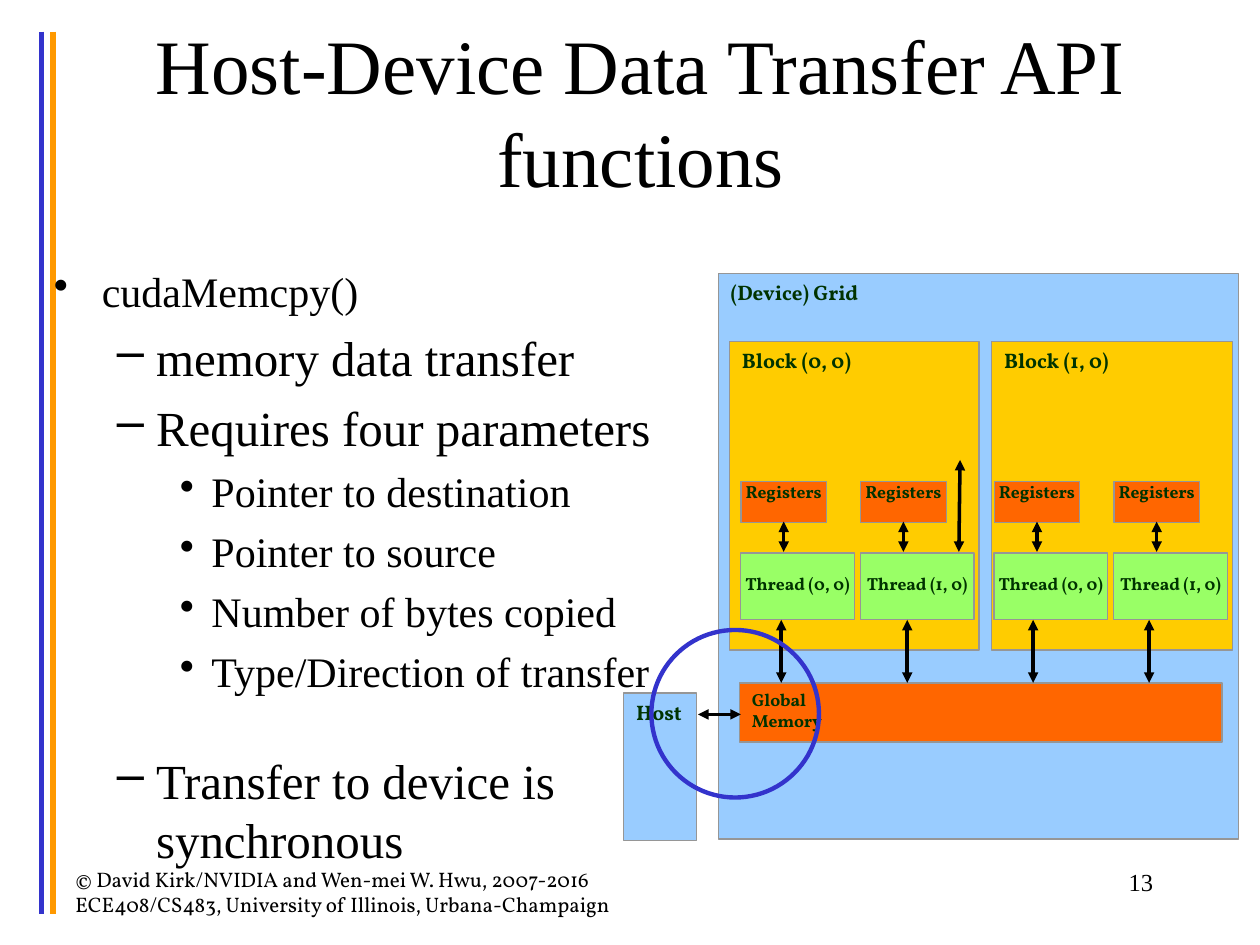
from lxml.etree import SubElement
from pptx import Presentation
from pptx.dml.color import RGBColor
from pptx.enum.shapes import MSO_CONNECTOR, MSO_SHAPE
from pptx.enum.text import MSO_ANCHOR, MSO_AUTO_SIZE, PP_ALIGN
from pptx.oxml.ns import qn
from pptx.util import Inches, Pt

SERIF, LABEL = "Times New Roman", "Vollkorn"
BLACK, GREEN_TEXT, GREY = "000000", "003300", "969696"
SKY, GOLD, ORANGE, LIME, BLUE = "99CCFF", "FFCC00", "FF6600", "99FF66", "3333CC"

TITLE = "Host-Device Data Transfer API functions"
FOOTER = ("© David Kirk/NVIDIA and Wen-mei W. Hwu, 2007-2016 "
          "ECE408/CS483, University of Illinois, Urbana-Champaign")
BULLETS = [
    (0, "cudaMemcpy()", 0),
    (1, "memory data transfer", 6.4),
    (1, "Requires four parameters", 6.4),
    (2, "Pointer to destination", 5.5),
    (2, "Pointer to source", 5.5),
    (2, "Number of bytes copied", 5.5),
    (2, "Type/Direction of transfer", 5.5),
    (1, "Transfer to device is synchronous", 31),
]
LEVELS = [("•", 0.38, 0.38, 24), ("–", 0.81, 0.31, 28), ("•", 1.25, 0.25, 24)]
RULES = [(0.33, BLUE), (0.42, "FF9900")]
BLOCKS = [
    ("Block (0, 0)", 5.79, 1.98, 5.88, (6.2, 7.2)),
    ("Block (1, 0)", 7.87, 1.91, 7.89, (8.2, 9.12)),
]
THREADS = ["Thread (0, 0)", "Thread (1, 0)"]
THREAD_STEP = 0.95


def rgb(color):
    return RGBColor.from_string(color)


def style(tf, font, size, color, bold=False, align=PP_ALIGN.LEFT):
    for p in tf.paragraphs:
        p.alignment = align
        for r in p.runs:
            r.font.name = font
            r.font.size = Pt(size)
            r.font.bold = bold
            r.font.color.rgb = rgb(color)


def add_box(s, box, fill, text, size, align=PP_ALIGN.LEFT, insets=None):
    sp = s.shapes.add_shape(MSO_SHAPE.RECTANGLE, *map(Inches, box))
    sp.shadow.inherit = False
    sp.fill.solid()
    sp.fill.fore_color.rgb = rgb(fill)
    sp.line.color.rgb = rgb(GREY)
    sp.line.width = Pt(0.75)
    tf = sp.text_frame
    tf.vertical_anchor = MSO_ANCHOR.TOP
    if insets:
        (tf.margin_left, tf.margin_top,
         tf.margin_right, tf.margin_bottom) = map(Inches, insets)
    tf.text = text
    style(tf, LABEL, size, GREEN_TEXT, True, align)


def add_line(s, x1, y1, x2, y2, color=BLACK, width=2, arrows=True):
    line = s.shapes.add_connector(
        MSO_CONNECTOR.STRAIGHT, *map(Inches, (x1, y1, x2, y2)))
    line.line.color.rgb = rgb(color)
    line.line.width = Pt(width)
    if arrows:
        ln = line.line._get_or_add_ln()
        for tag in ("a:headEnd", "a:tailEnd"):
            SubElement(ln, qn(tag), type="triangle")
    SubElement(line._element.spPr, qn("a:effectLst"))


def add_text(s, box, text, font, size, align=PP_ALIGN.LEFT):
    tf = s.shapes.add_textbox(*map(Inches, box)).text_frame
    tf.word_wrap = True
    tf.text = text
    style(tf, font, size, BLACK, align=align)


def add_title(s):
    sp = s.shapes.title
    sp.left, sp.top, sp.width, sp.height = map(Inches, (0.75, 0.25, 8.67, 1.25))
    tf = sp.text_frame
    tf.text = TITLE
    tf.auto_size = MSO_AUTO_SIZE.NONE
    tf.vertical_anchor = MSO_ANCHOR.MIDDLE
    style(tf, SERIF, 44, BLACK, align=PP_ALIGN.CENTER)


def add_bullets(s):
    tf = s.shapes.add_textbox(*map(Inches, (0.33, 2, 5.25, 5))).text_frame
    tf.word_wrap = True
    tf.margin_top = Inches(0.11)
    tf.text = "\n".join(text for _, text, _ in BULLETS)
    style(tf, SERIF, 24, BLACK)
    for p, (level, _, gap) in zip(tf.paragraphs, BULLETS):
        char, indent, hang, size = LEVELS[level]
        p.level = level
        p.space_before = Pt(gap)
        p.runs[0].font.size = Pt(size)
        pPr = p._p.get_or_add_pPr()
        pPr.set("marL", str(Inches(indent)))
        pPr.set("indent", str(-Inches(hang)))
        SubElement(pPr, qn("a:buChar"), char=char)


def add_block(s, name, left, width, first, memory_arrows):
    add_box(s, (left, 2.71, width, 2.45), GOLD, name, 12)
    for i, (thread, arrow_x) in enumerate(zip(THREADS, memory_arrows)):
        x = first + i * THREAD_STEP
        add_box(s, (x, 4.39, 0.9, 0.53), LIME, thread, 10,
                PP_ALIGN.CENTER, (0, 0.16, 0, 0))
        add_box(s, (x, 3.82, 0.68, 0.33), ORANGE, "Registers", 10,
                PP_ALIGN.CENTER, (0, 0, 0, 0))
        add_line(s, x + 0.34, 4.38, x + 0.34, 4.14)
        add_line(s, arrow_x, 4.92, arrow_x, 5.42)


def add_highlight(s):
    sp = s.shapes.add_shape(MSO_SHAPE.FLOWCHART_CONNECTOR,
                            *map(Inches, (5.17, 5, 1.33, 1.33)))
    sp.shadow.inherit = False
    sp.fill.background()
    sp.line.color.rgb = rgb(BLUE)
    sp.line.width = Pt(2.5)


def main():
    prs = Presentation()
    prs.slide_width, prs.slide_height = Inches(10), Inches(7.5)
    s = prs.slides.add_slide(prs.slide_layouts[5])
    for x, color in RULES:
        add_line(s, x, 0.25, x, 7.25, color, 3, arrows=False)
    add_title(s)
    add_box(s, (4.95, 5.5, 0.58, 1.17), SKY, "Host", 12)
    add_bullets(s)
    add_box(s, (5.7, 2.17, 4.13, 4.49), SKY, "(Device) Grid", 12)
    add_box(s, (5.87, 5.42, 3.83, 0.47), ORANGE, "Global\nMemory", 10)
    for block in BLOCKS:
        add_block(s, *block)
    add_line(s, 7.61, 4.38, 7.62, 3.65)
    add_line(s, 5.54, 5.67, 5.88, 5.67)
    add_highlight(s)
    add_text(s, (7.17, 6.83, 2.08, 0.5), "13", SERIF, 14, PP_ALIGN.RIGHT)
    add_text(s, (0.5, 6.83, 4.58, 0.5), FOOTER, LABEL, 12)
    prs.save("out.pptx")


if __name__ == "__main__":
    main()
